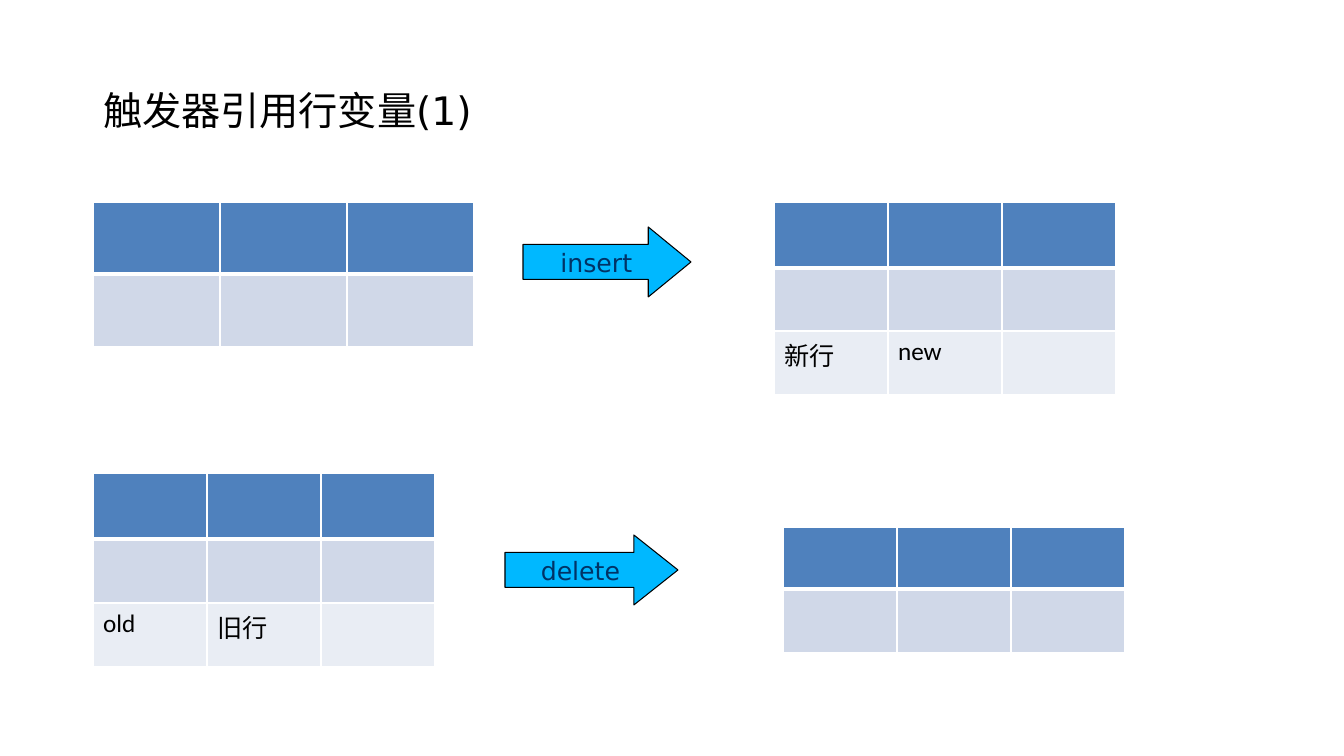
import pptx
import pptx.util
import pptx.dml.color
import pptx.enum.shapes
import pptx.enum.text
import pptx.oxml.ns
from lxml import etree

EMU_PER_PX = 914400 / 100.8

BLACK = pptx.dml.color.RGBColor(0x00, 0x00, 0x00)
WHITE = pptx.dml.color.RGBColor(0xFF, 0xFF, 0xFF)
NAVY = pptx.dml.color.RGBColor(0x00, 0x33, 0x66)
ARROW_CYAN = pptx.dml.color.RGBColor(0x00, 0xB8, 0xFF)
HEADER_BLUE = pptx.dml.color.RGBColor(0x4F, 0x81, 0xBD)
BAND_DARK = pptx.dml.color.RGBColor(0xD0, 0xD8, 0xE8)
BAND_LIGHT = pptx.dml.color.RGBColor(0xE9, 0xED, 0xF4)
ROW_FILLS = [HEADER_BLUE, BAND_DARK, BAND_LIGHT]

TITLE_FONT = "DejaVu Sans"
CELL_FONT = "Calibri"


def px(length):
    return pptx.util.Emu(round(length * EMU_PER_PX))


def format_runs(paragraph, font_name, size, color):
    for run in paragraph.runs:
        run.font.name = font_name
        run.font.size = pptx.util.Pt(size)
        run.font.color.rgb = color


def set_border(cell, side, width):
    qn = pptx.oxml.ns.qn
    properties = cell._tc.get_or_add_tcPr()
    border = etree.SubElement(properties, qn(f"a:ln{side}"), w=str(pptx.util.Pt(width)))
    fill = etree.SubElement(border, qn("a:solidFill"))
    etree.SubElement(fill, qn("a:srgbClr"), val=str(WHITE))


def add_title(slide, text):
    title = slide.shapes.title
    title.left, title.top, title.width, title.height = px(93), px(40), px(1159), px(146)
    title.text_frame.text = text
    title.text_frame.vertical_anchor = pptx.enum.text.MSO_ANCHOR.MIDDLE
    heading = title.text_frame.paragraphs[0]
    heading.alignment = pptx.enum.text.PP_ALIGN.LEFT
    heading.line_spacing = 0.9
    format_runs(heading, TITLE_FONT, 28, BLACK)


def add_row_table(slide, left, top, column_width, row_heights, last_row=("", "", "")):
    frame = slide.shapes.add_table(
        len(row_heights), len(last_row), px(left), px(top),
        px(column_width * len(last_row)), px(sum(row_heights)))
    table = frame.table
    for column in table.columns:
        column.width = px(column_width)
    for index, height in enumerate(row_heights):
        table.rows[index].height = px(height)
        for cell in table.rows[index].cells:
            set_border(cell, "L", 1)
            set_border(cell, "R", 1)
            set_border(cell, "T", 3 if index == 1 else 1)
            set_border(cell, "B", 3 if index == 0 else 1)
            cell.fill.solid()
            cell.fill.fore_color.rgb = ROW_FILLS[index]
    for cell, text in zip(table.rows[len(row_heights) - 1].cells, last_row):
        if text:
            cell.text_frame.text = text
            format_runs(cell.text_frame.paragraphs[0], CELL_FONT, 18, BLACK)


def add_operation_arrow(slide, left, top, width, head, operation):
    arrow = slide.shapes.add_shape(
        pptx.enum.shapes.MSO_SHAPE.RIGHT_ARROW, px(left), px(top), px(width), px(70))
    arrow.adjustments[0] = 0.5
    arrow.adjustments[1] = head
    arrow.shadow.inherit = False
    arrow.fill.solid()
    arrow.fill.fore_color.rgb = ARROW_CYAN
    arrow.line.color.rgb = BLACK
    arrow.line.width = pptx.util.Pt(0.75)
    label = arrow.text_frame
    label.text = operation
    label.word_wrap = False
    label.vertical_anchor = pptx.enum.text.MSO_ANCHOR.MIDDLE
    label.paragraphs[0].alignment = pptx.enum.text.PP_ALIGN.CENTER
    format_runs(label.paragraphs[0], TITLE_FONT, 18, NAVY)


def main():
    deck = pptx.Presentation()
    deck.slide_width, deck.slide_height = px(1344), px(756)
    slide = deck.slides.add_slide(deck.slide_layouts[5])

    add_title(slide, "触发器引用行变量(1)")

    add_row_table(slide, 93, 202, 127, [72, 73])
    add_operation_arrow(slide, 523, 227, 168, 0.61, "insert")
    add_row_table(slide, 774, 202, 114, [66, 63, 64], ("新行", "new", ""))

    add_row_table(slide, 93, 473, 114, [66, 64, 64], ("old", "旧行", ""))
    add_operation_arrow(slide, 505, 535, 173, 0.63, "delete")
    add_row_table(slide, 783, 527, 114, [62, 64])

    deck.save("out.pptx")


if __name__ == "__main__":
    main()
